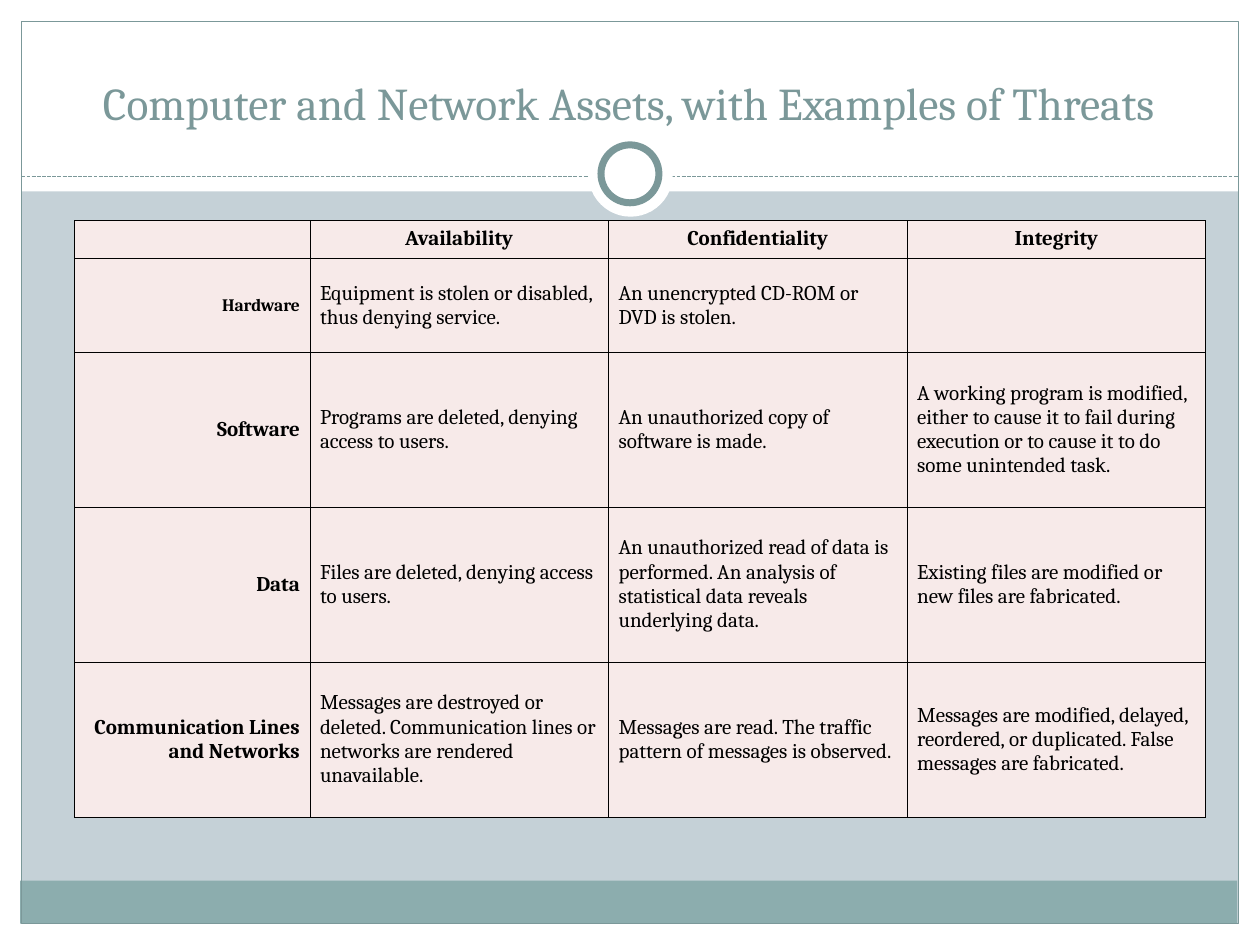
from dataclasses import dataclass
from typing import Optional

from lxml.etree import SubElement
from pptx import Presentation
from pptx.dml.color import RGBColor
from pptx.enum.dml import MSO_LINE
from pptx.enum.shapes import MSO_CONNECTOR, MSO_SHAPE
from pptx.enum.text import MSO_ANCHOR, MSO_AUTO_SIZE, PP_ALIGN
from pptx.oxml.ns import qn
from pptx.util import Inches, Pt

COLORS = {
    "background": "C5D1D7",
    "paper": "FFFFFF",
    "band": "8CADAE",
    "accent": "7B9899",
    "cell": "F7EAE9",
    "ink": "000000",
}
FONT = "Cambria"


@dataclass(frozen=True)
class Decoration:
    left: float
    top: float
    width: float
    height: float
    fill: Optional[str] = "paper"
    line_width: float = 0
    preset: MSO_SHAPE = MSO_SHAPE.RECTANGLE


@dataclass(frozen=True)
class Asset:
    name: str
    threats: tuple[str, str, str]
    height: float = 1.23
    name_size: int = 12


FRAME = (
    Decoration(0, 7.33, 10, 0.17),
    Decoration(0, 0, 10, 1.52),
    Decoration(0, 0, 0.17, 7.5),
    Decoration(9.83, 0, 0.17, 7.5),
    Decoration(0.16, 6.99, 9.66, 0.34, "band"),
    Decoration(0.17, 0.17, 9.66, 7.16, None, 0.75),
)
MEDALLION = (
    Decoration(4.67, 1.05, 0.67, 0.67, preset=MSO_SHAPE.OVAL),
    Decoration(4.77, 1.15, 0.46, 0.46, line_width=4, preset=MSO_SHAPE.OVAL),
)
HEADINGS = ("", "Availability", "Confidentiality", "Integrity")
ASSETS = (
    Asset("Hardware", (
        "Equipment is stolen or disabled, thus denying service.",
        "An unencrypted CD-ROM or DVD is stolen.",
        "",
    ), 0.74, 10),
    Asset("Software", (
        "Programs are deleted, denying access to users.",
        "An unauthorized copy of software is made.",
        "A working program is modified, either to cause it to fail during "
        "execution or to cause it to do some unintended task.",
    )),
    Asset("Data", (
        "Files are deleted, denying access to users.",
        "An unauthorized read of data is performed. An analysis of "
        "statistical data reveals underlying data.",
        "Existing files are modified or new files are fabricated.",
    )),
    Asset("Communication Lines and Networks", (
        "Messages are destroyed or deleted. Communication lines or networks "
        "are rendered unavailable.",
        "Messages are read. The traffic pattern of messages is observed.",
        "Messages are modified, delayed, reordered, or duplicated. False "
        "messages are fabricated.",
    )),
)


def rgb(name: str) -> RGBColor:
    return RGBColor.from_string(COLORS[name])


def draw_decoration(slide, item: Decoration) -> None:
    shape = slide.shapes.add_shape(
        item.preset, Inches(item.left), Inches(item.top),
        Inches(item.width), Inches(item.height))
    shape.shadow.inherit = False
    if item.fill:
        shape.fill.solid()
        shape.fill.fore_color.rgb = rgb(item.fill)
    else:
        shape.fill.background()
    if item.line_width:
        shape.line.color.rgb = rgb("accent")
        shape.line.width = Pt(item.line_width)
    else:
        shape.line.fill.background()


def draw_divider(slide) -> None:
    divider = slide.shapes.add_connector(
        MSO_CONNECTOR.STRAIGHT, Inches(0.17), Inches(1.4), Inches(9.83), Inches(1.4))
    divider.line.color.rgb = rgb("accent")
    divider.line.width = Pt(0.75)
    divider.line.dash_style = MSO_LINE.SQUARE_DOT
    SubElement(divider._element.spPr, qn("a:effectLst"))


def format_text(paragraph, size: int, color: str, alignment: PP_ALIGN,
                bold: bool = False) -> None:
    paragraph.alignment = alignment
    for run in paragraph.runs:
        run.font.name = FONT
        run.font.size = Pt(size)
        run.font.bold = bold
        run.font.color.rgb = rgb(color)


def draw_borders(cell) -> None:
    properties = cell._tc.get_or_add_tcPr()
    for position, side in enumerate(("a:lnL", "a:lnR", "a:lnT", "a:lnB")):
        border = properties.makeelement(qn(side), {"w": str(Pt(0.45))})
        SubElement(SubElement(border, qn("a:solidFill")), qn("a:srgbClr"), val=COLORS["ink"])
        properties.insert(position, border)


def fill_cell(cell, text: str, alignment: PP_ALIGN, anchor: MSO_ANCHOR,
              size: int = 12, bold: bool = False) -> None:
    cell.margin_left = cell.margin_right = Inches(0.08)
    cell.margin_top = cell.margin_bottom = Inches(0.05)
    cell.vertical_anchor = anchor
    cell.fill.solid()
    cell.fill.fore_color.rgb = rgb("cell")
    draw_borders(cell)
    paragraph = cell.text_frame.paragraphs[0]
    if text:
        paragraph.text = text
        format_text(paragraph, size, "ink", alignment, bold)
    else:
        SubElement(paragraph._p, qn("a:endParaRPr"), sz=str(size * 100))


def draw_threats(slide) -> None:
    threats = slide.shapes.add_table(
        len(ASSETS) + 1, len(HEADINGS),
        Inches(0.59), Inches(1.75), Inches(8.98), Inches(4.72)).table
    threats.first_row = threats.horz_banding = False
    for column, width in zip(threats.columns, (1.87, 2.37, 2.37, 2.37)):
        column.width = Inches(width)
    threats.rows[0].height = Inches(0.29)
    for column, heading in enumerate(HEADINGS):
        fill_cell(threats.cell(0, column), heading, PP_ALIGN.CENTER, MSO_ANCHOR.TOP, bold=True)
    for row, asset in enumerate(ASSETS, 1):
        threats.rows[row].height = Inches(asset.height)
        fill_cell(threats.cell(row, 0), asset.name, PP_ALIGN.RIGHT, MSO_ANCHOR.MIDDLE,
                  asset.name_size, True)
        for column, threat in enumerate(asset.threats, 1):
            fill_cell(threats.cell(row, column), threat, PP_ALIGN.LEFT, MSO_ANCHOR.MIDDLE)


def write_title(slide) -> None:
    title = slide.shapes.title
    title.left, title.top = Inches(0.33), Inches(0.25)
    title.width, title.height = Inches(9.33), Inches(0.83)
    frame = title.text_frame
    frame.text = "Computer and Network Assets, with Examples of Threats"
    frame.word_wrap = True
    frame.auto_size = MSO_AUTO_SIZE.NONE
    frame.vertical_anchor = MSO_ANCHOR.BOTTOM
    format_text(frame.paragraphs[0], 26, "accent", PP_ALIGN.CENTER)
    slide.shapes._spTree.append(title._element)


def main() -> None:
    presentation = Presentation()
    presentation.slide_width, presentation.slide_height = Inches(10), Inches(7.5)
    slide = presentation.slides.add_slide(presentation.slide_layouts[5])
    slide.background.fill.solid()
    slide.background.fill.fore_color.rgb = rgb("background")
    for item in FRAME:
        draw_decoration(slide, item)
    draw_divider(slide)
    for item in MEDALLION:
        draw_decoration(slide, item)
    write_title(slide)
    draw_threats(slide)
    presentation.save("out.pptx")


if __name__ == "__main__":
    main()
